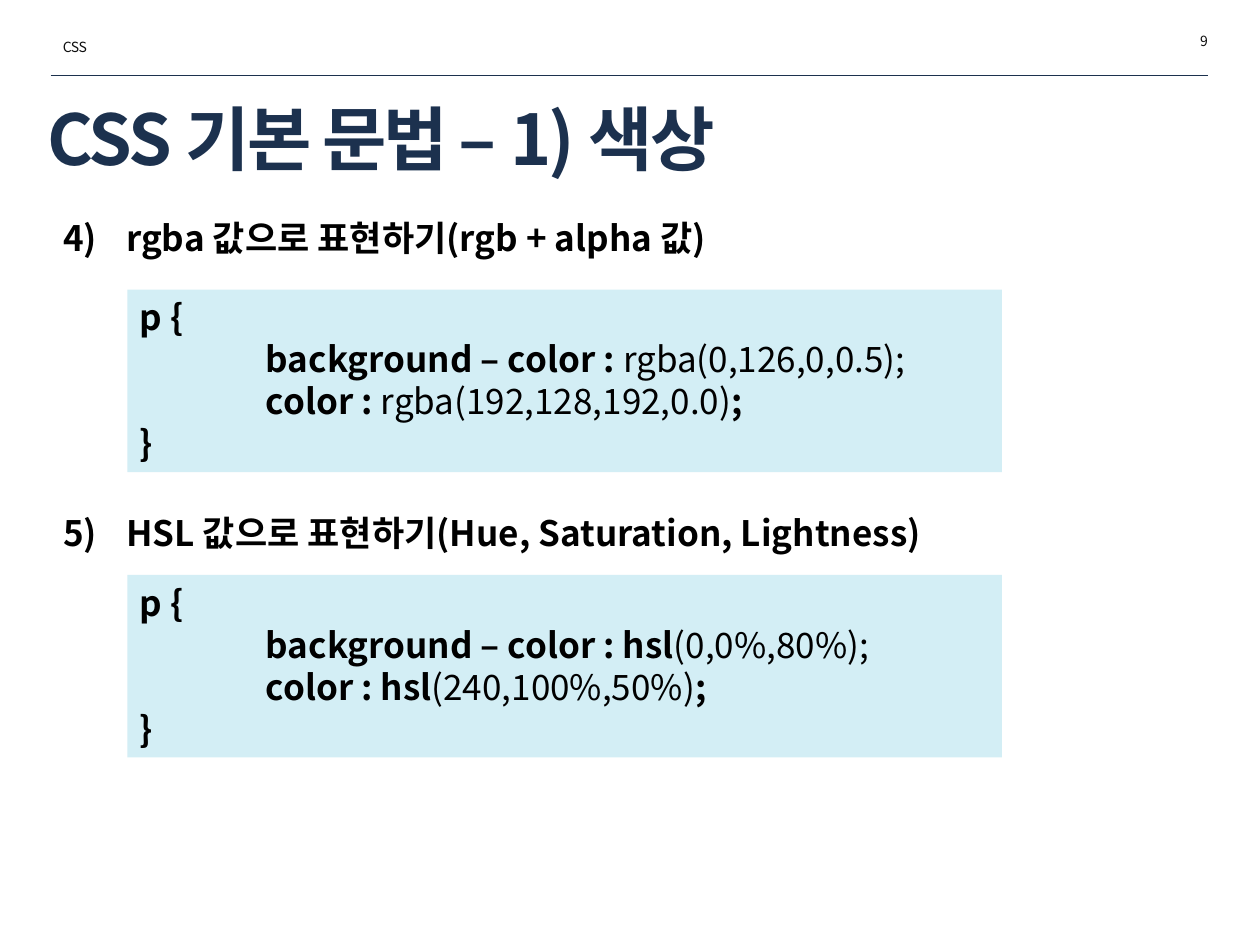
from pptx import Presentation
from pptx.dml.color import RGBColor
from pptx.enum import shapes as es, text as et
from pptx.oxml import ns
from pptx.util import Cm, Pt
from lxml import etree

NAVY = RGBColor(0x1C, 0x31, 0x4E)
GREY = RGBColor(0x0D, 0x0D, 0x0D)
BLACK = RGBColor(0, 0, 0)
PALE = RGBColor(0xD3, 0xEE, 0xF5)
FONT = "Noto Sans CJK KR"
LEFT, WIDE = 1.02, 23.24


def add_tag(node, tag, **attrs):
    return etree.SubElement(node, ns.qn(tag), **attrs)


def add_run(para, words, size=20, color=BLACK, bold=False, space=None):
    run = para.add_run()
    run.text = words
    font = run.font
    font.size, font.bold, font.name = Pt(size), bold, FONT
    font.color.rgb = color
    props = run._r.get_or_add_rPr()
    add_tag(props, "a:ea", typeface=FONT)
    if space is not None:
        props.set("spc", str(round(space * 100)))


def place(shape, left, top, width, height):
    shape.left, shape.top = Cm(left), Cm(top)
    shape.width, shape.height = Cm(width), Cm(height)


def set_frame(shape, anchor=et.MSO_ANCHOR.TOP):
    frame = shape.text_frame
    frame.word_wrap = True
    frame.auto_size = et.MSO_AUTO_SIZE.NONE
    frame.vertical_anchor = anchor
    return frame.paragraphs[0]


def add_label(slide, words, left, top, align):
    box = slide.shapes.add_textbox(Cm(left), Cm(top), Cm(4.39), Cm(0.61))
    para = set_frame(box)
    para.alignment = align
    add_run(para, words, size=8, color=GREY, space=-0.3)


def add_header(slide, left, top, width):
    add_label(slide, "CSS", left, top + 0.13, et.PP_ALIGN.LEFT)
    add_label(slide, "9", left + width - 4.05, top, et.PP_ALIGN.RIGHT)
    level = Cm(top + 0.99)
    rule = slide.shapes.add_connector(
        es.MSO_CONNECTOR.STRAIGHT, Cm(left), level, Cm(left + width + 0.1), level)
    rule.line.color.rgb = NAVY
    rule.line.width = Pt(0.25)
    add_tag(rule._element.spPr, "a:effectLst")


def fill_title(shape, words, left, top, width, height):
    place(shape, left, top, width, height)
    para = set_frame(shape, et.MSO_ANCHOR.MIDDLE)
    para.alignment = et.PP_ALIGN.LEFT
    add_run(para, words, size=40, color=NAVY, bold=True, space=-1.5)


def fill_head(shape, start, words, left, top, width):
    place(shape, left, top, width, 1.24)
    para = set_frame(shape)
    para.space_before = Pt(4)
    props = para._p.get_or_add_pPr()
    props.set("marL", str(Cm(1.27)))
    props.set("indent", str(Cm(-1.27)))
    add_tag(props, "a:buFont", typeface="+mj-lt")
    add_tag(props, "a:buAutoNum", type="arabicParenR", startAt=str(start))
    add_run(para, words, bold=True)


def add_code(slide, lines, left, top, width, height):
    box = slide.shapes.add_shape(
        es.MSO_SHAPE.RECTANGLE, Cm(left), Cm(top), Cm(width), Cm(height))
    box.shadow.inherit = False
    box.fill.solid()
    box.fill.fore_color.rgb = PALE
    box.line.fill.background()
    para = set_frame(box)
    for row, parts in enumerate(lines):
        if row:
            para = box.text_frame.add_paragraph()
        para.alignment = et.PP_ALIGN.LEFT
        tabs = add_tag(para._p.get_or_add_pPr(), "a:tabLst")
        add_tag(tabs, "a:tab", pos=str(Cm(2.54)), algn="l")
        for spot, words in enumerate(parts):
            add_run(para, words, bold=spot % 2 == 0)


def add_topic(slide, shape, start, words, rules, top, gap):
    fill_head(shape, start, words, LEFT, top, WIDE)
    lines = [["p {"], *rules, ["}"]]
    add_code(slide, lines, LEFT + 1.55, top + gap, 17.63, 3.68)


def main():
    deck = Presentation()
    deck.slide_width, deck.slide_height = Cm(25.4), Cm(19.05)
    slide = deck.slides.add_slide(deck.slide_layouts[3])
    title, first, second = list(slide.placeholders)[:3]
    add_header(slide, LEFT, 0.53, WIDE)
    fill_title(title, "CSS 기본 문법 – 1) 색상", 0.71, 1.96, 23.52, 1.63)
    add_topic(slide, first, 4, "rgba 값으로 표현하기(rgb + alpha 값)", [
        ["\tbackground – color : ", "rgba(0,126,0,0.5);"],
        ["\tcolor : ", "rgba(192,128,192,0.0)", ";"],
    ], 4.24, 1.6)
    add_topic(slide, second, 5, "HSL 값으로 표현하기(Hue, Saturation, Lightness)", [
        ["\tbackground – color : hsl", "(0,0%,80%);"],
        ["\tcolor : hsl", "(240,100%,50%)", ";"],
    ], 10.19, 1.4)
    deck.save("out.pptx")


if __name__ == "__main__":
    main()
